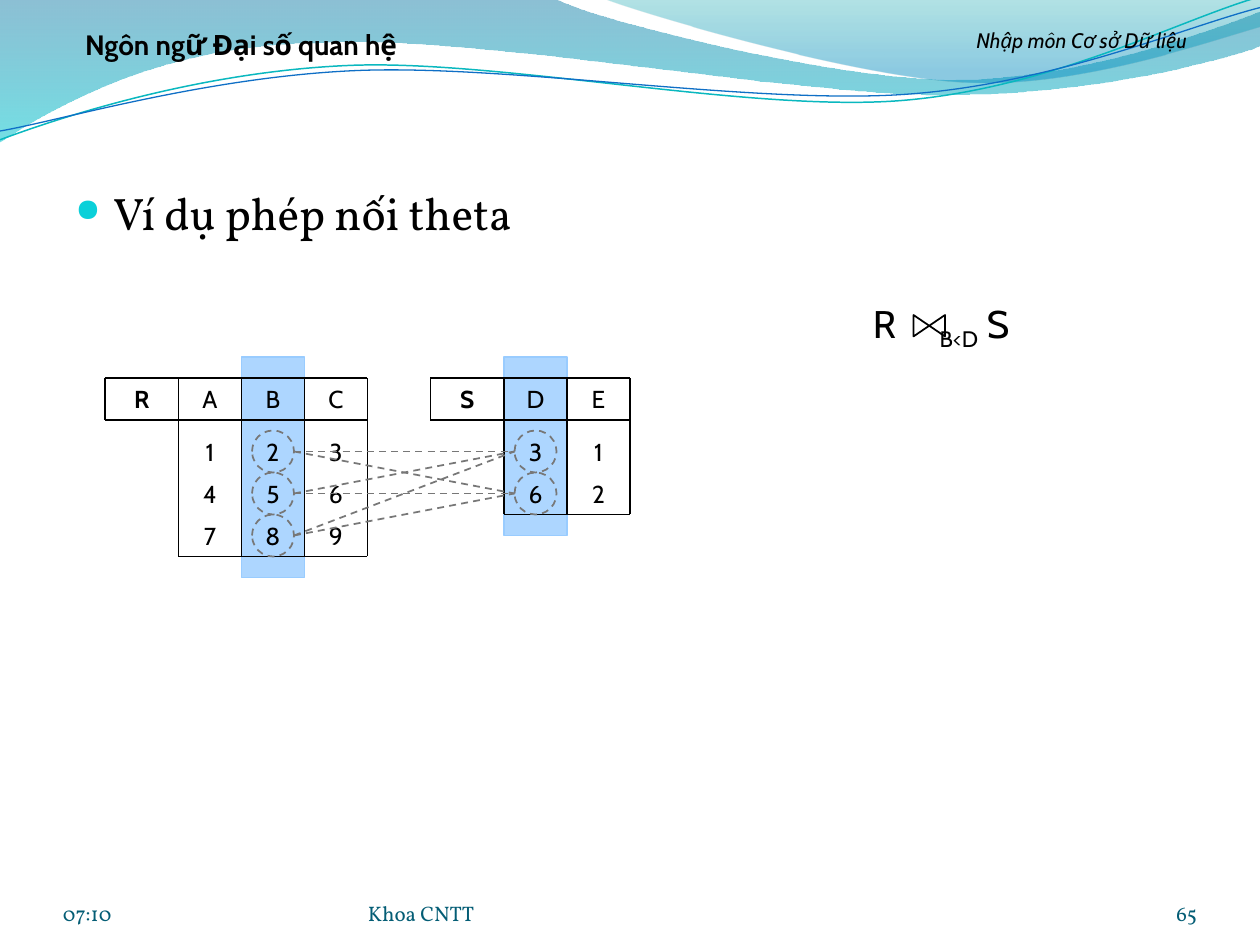
from dataclasses import dataclass
from itertools import product
from math import cos, radians, sin

from lxml.etree import SubElement
from pptx import Presentation
from pptx.dml.color import RGBColor
from pptx.enum.dml import MSO_LINE_DASH_STYLE as Dash
from pptx.enum.shapes import MSO_CONNECTOR_TYPE as Connector, MSO_SHAPE as Preset
from pptx.enum.text import MSO_ANCHOR as Anchor, PP_ALIGN as Align
from pptx.oxml import parse_xml
from pptx.oxml.ns import nsdecls, qn
from pptx.util import Inches, Pt

BLACK = RGBColor(0x00, 0x00, 0x00)
GRAY = RGBColor(0x77, 0x77, 0x77)
SKY = RGBColor(0x99, 0xCC, 0xFF)
FOOTER = RGBColor(0x04, 0x5D, 0x75)
BULLET = RGBColor(0x0B, 0xD0, 0xD9)
TEAL = RGBColor(0x0A, 0xB8, 0xBF)
BLUE = RGBColor(0x0F, 0x6F, 0xC6)
SANS, SERIF = "Cabin", "Vollkorn"

UNIT = 1 / 12  # grid step in inches
CELL, LABEL, ROW = 6, 7, 4  # column width, name column width, row height
HEADER_TOP, BODY_TOP = 36, 41
TILT = 357.3  # rotation of the thin waves in degrees


@dataclass
class Relation:
    """A relation drawn as a ruled grid; left is in grid units."""
    name: str
    left: int
    columns: str
    rows: list[str]
    joined: int

    @property
    def first(self) -> int:
        return self.left + LABEL

    @property
    def right(self) -> int:
        return self.first + CELL * len(self.columns)

    @property
    def bottom(self) -> int:
        return BODY_TOP + ROW * len(self.rows)

    @property
    def joined_left(self) -> int:
        return self.first + CELL * self.joined


@dataclass
class Wave:
    """A curved outline in a box: a start, its pieces and its paint."""
    box: tuple
    start: tuple
    pieces: list[tuple]
    line: RGBColor | None = None
    width: float = 0
    rotation: float = 0
    stops: tuple = ()


RELATIONS = [Relation("R", 10, "ABC", ["123", "456", "789"], 1),
             Relation("S", 41, "DE", ["31", "62"], 0)]

# A piece of two numbers is a straight side, one of six is a cubic curve.
WAVES = [
    Wave((-0.01, -0.01, 10.02, 1.14), (0, -0.01),
         [(4.4, -0.01), (4.76, 0.17, 6.64, 0.63, 7.58, 0.63),
          (8.53, 0.63, 9.58, 0.26, 10, 0.09), (10.01, 0.36),
          (9.83, 0.44, 8.7, 0.76, 7.46, 0.75), (6.22, 0.75, 3.82, 0.28, 2.57, 0.34),
          (1.29, 0.35, 0.46, 0.83, -0.01, 1.13), (0, -0.01)],
         stops=((0, "0074A1", 45), (100, "00C6CF", 55))),
    Wave((4.79, -0.01, 5.21, 0.7), (4.79, -0.01),
         [(5.09, 0.11, 6.82, 0.62, 7.69, 0.65), (8.56, 0.69, 9.61, 0.32, 10, 0.21),
          (10, 0), (4.79, -0.01)],
         stops=((0, "00A1A9", 30), (80, "008BBF", 45))),
    Wave((-0.02, 0.22, 10.02, 0.71), (0, 1.11),
         [(0.48, 0.93, 1.58, 0.57, 2.77, 0.52), (3.95, 0.47, 5.93, 0.89, 7.13, 0.8),
          (8.33, 0.71, 9.38, 0.15, 9.98, -0.02)], TEAL, 0.85, TILT),
    Wave((-0.02, 0.3, 10.03, 0.58), (0, 1.04),
         [(0.47, 0.96, 1.64, 0.61, 2.83, 0.56), (4.03, 0.51, 5.97, 0.83, 7.17, 0.75),
          (8.36, 0.67, 9.41, 0.21, 10, 0.06)], BLUE, 0.75, TILT),
]


def local_points(wave: Wave, piece: tuple) -> list[tuple]:
    """Turn slide positions into positions inside the unrotated box."""
    left, top, width, height = wave.box
    turn = radians(-wave.rotation)
    points = []
    for x, y in zip(piece[::2], piece[1::2]):
        dx, dy = x - left - width / 2, y - top - height / 2
        points.append((Inches(width / 2 + dx * cos(turn) - dy * sin(turn)),
                       Inches(height / 2 + dx * sin(turn) + dy * cos(turn))))
    return points


def add_wave(wave: Wave) -> None:
    """Draw a wave, closed with a gradient or open with a line."""
    corners = [local_points(wave, piece)[-1] for piece in wave.pieces]
    builder = slide.shapes.build_freeform(*local_points(wave, wave.start)[0])
    builder.add_line_segments(corners, close=bool(wave.stops))
    shape = builder.convert_to_shape()
    shape.left, shape.top, shape.width, shape.height = map(Inches, wave.box)
    shape.rotation = wave.rotation
    shape.shadow.inherit = False
    shape.fill.background()
    properties = shape._element.spPr
    outline = next(properties.iter(qn("a:path")))
    outline.set("w", str(shape.width))
    outline.set("h", str(shape.height))
    for segment, piece in zip(list(outline), [wave.start] + wave.pieces):
        if len(piece) == 6:
            segment.tag = qn("a:cubicBezTo")
        for point in list(segment):
            segment.remove(point)
        for x, y in local_points(wave, piece):
            SubElement(segment, qn("a:pt"), x=str(x), y=str(y))
    if not wave.stops:
        shape.line.color.rgb, shape.line.width = wave.line, Pt(wave.width)
        return
    shape.line.fill.background()
    stops = "".join(f'<a:gs pos="{pos * 1000}"><a:srgbClr val="{color}">'
                    f'<a:alpha val="{alpha * 1000}"/></a:srgbClr></a:gs>'
                    for pos, color, alpha in wave.stops)
    properties.replace(properties.find(qn("a:noFill")), parse_xml(
        f'<a:gradFill {nsdecls("a")} rotWithShape="1"><a:gsLst>{stops}</a:gsLst>'
        '<a:lin ang="5400000" scaled="0"/></a:gradFill>'))


def add_text(text: str, box: tuple, *, size: float = 14, font: str = SANS,
             color: RGBColor = BLACK, bold: bool = False, italic: bool = False,
             align: Align = Align.LEFT, anchor: Anchor = Anchor.TOP,
             inset: bool = True, subscript: str = "", shape=None):
    """Write text in a box given in inches; return its paragraph."""
    left, top, width, height = map(Inches, box)
    shape = shape or slide.shapes.add_textbox(left, top, width, height)
    shape.left, shape.top, shape.width, shape.height = left, top, width, height
    frame = shape.text_frame
    frame.word_wrap, frame.vertical_anchor = True, anchor
    if not inset:
        frame.margin_left = frame.margin_right = frame.margin_top = frame.margin_bottom = 0
    paragraph = frame.paragraphs[0]
    paragraph.alignment = align
    before, _, after = text.partition(subscript) if subscript else (text, "", "")
    for part in filter(None, (before, subscript, after)):
        run = paragraph.add_run()
        run.text = part
        run.font.size, run.font.name, run.font.color.rgb = Pt(size), font, color
        run.font.bold, run.font.italic = bold, italic
        if part == subscript:
            run._r.get_or_add_rPr().set("baseline", "-25000")
    return paragraph


def add_line(x1: int, y1: int, x2: int, y2: int, color: RGBColor = BLACK,
             dash: Dash | None = None) -> None:
    """Draw a line between two grid points."""
    line = slide.shapes.add_connector(Connector.STRAIGHT, *grid_box(x1, y1, x2, y2))
    line.line.color.rgb, line.line.width, line.line.dash_style = color, Pt(1), dash
    SubElement(line._element.spPr, qn("a:effectLst"))


def add_preset(preset: Preset, box: tuple, color: RGBColor, fill: RGBColor | None = None):
    """Draw an outlined preset shape."""
    shape = slide.shapes.add_shape(preset, *box)
    shape.shadow.inherit = False
    shape.line.color.rgb, shape.line.width = color, Pt(1)
    if fill is None:
        shape.fill.background()
    else:
        shape.fill.solid()
        shape.fill.fore_color.rgb = fill
    return shape


def grid_box(*units: int) -> tuple:
    """Turn grid units into lengths."""
    return tuple(Inches(UNIT * unit) for unit in units)


def add_cell(text: str, left: int, top: int, width: int = CELL, bold: bool = False) -> None:
    """Write a centred value in a grid cell."""
    add_text(text, tuple(UNIT * unit for unit in (left, top, width, ROW)),
             bold=bold, align=Align.CENTER)


def add_highlight(relation: Relation) -> None:
    """Shade the joined column, two units past the grid at each end."""
    top = HEADER_TOP - 2
    shape = add_preset(Preset.RECTANGLE, grid_box(
        relation.joined_left, top, CELL, relation.bottom + 2 - top), SKY, SKY)
    color = shape._element.spPr.find(qn("a:solidFill"))[0]
    SubElement(color, qn("a:alpha"), val="80000")


def add_relation(relation: Relation) -> None:
    """Draw the rules, header and values of a relation."""
    left, first, right, bottom = relation.left, relation.first, relation.right, relation.bottom
    header_bottom = HEADER_TOP + ROW
    for start, y in ((left, HEADER_TOP), (left, header_bottom), (first, bottom)):
        add_line(start, y, right, y)
    add_line(left, HEADER_TOP, left, header_bottom)
    for x in range(first, right + 1, CELL):
        add_line(x, HEADER_TOP, x, bottom)
    add_cell(relation.name, left, HEADER_TOP, LABEL, bold=True)
    tops = [HEADER_TOP, *range(BODY_TOP, bottom, ROW)]
    for top, values in zip(tops, [relation.columns] + relation.rows):
        for i, value in enumerate(values):
            add_cell(value, first + CELL * i, top)


def add_pairs(source: Relation, target: Relation) -> None:
    """Circle the joined values and link every pair of them."""
    for relation in (source, target):
        for top in range(BODY_TOP, relation.bottom, ROW):
            circle = add_preset(Preset.OVAL, grid_box(
                relation.joined_left + 1, top, ROW, ROW), GRAY)
            circle.line.dash_style = Dash.DASH
    middle = BODY_TOP + ROW // 2
    for y1, y2 in product(range(middle, source.bottom, ROW), range(middle, target.bottom, ROW)):
        add_line(source.joined_left + 1 + ROW, y1, target.joined_left + 1, y2, GRAY, Dash.DASH)


presentation = Presentation()
presentation.slide_width, presentation.slide_height = Inches(10), Inches(7.5)
slide = presentation.slides.add_slide(presentation.slide_layouts[5])
for wave in WAVES:
    add_wave(wave)

title = slide.shapes.title
slide.shapes._spTree.append(title._element)  # in front of the waves
add_text("Ngôn ngữ Đại số quan hệ", (0.25, 0.17, 3.33, 0.37), size=16, bold=True,
         align=Align.CENTER, shape=title)
add_text("Nhập môn Cơ sở Dữ liệu", (7.17, 0.17, 2.83, 0.38), size=12, italic=True,
         align=Align.CENTER)
example = add_text("Ví dụ phép nối theta", (0.5, 1.42, 9, 5.29), size=26, font=SERIF)
indent = example._p.get_or_add_pPr()
indent.set("marL", str(Inches(0.3)))
indent.set("indent", str(-Inches(0.3)))
SubElement(SubElement(indent, qn("a:buClr")), qn("a:srgbClr"), val=str(BULLET))
SubElement(indent, qn("a:buSzPct"), val="70000")
SubElement(indent, qn("a:buChar"), char="●")

for draw, relation in product((add_highlight, add_relation), RELATIONS):
    draw(relation)
add_pairs(*RELATIONS)

formula = add_text("R\tB<D S", (6.83, 2.33, 1.67, 0.47), size=22, subscript="B<D")
tabs = SubElement(formula._p.get_or_add_pPr(), qn("a:tabLst"))
SubElement(tabs, qn("a:tab"), pos=str(Inches(0.53)), algn="l")
bowtie = tuple(map(Inches, (7.29, 2.46, 0.17, 0.25)))
add_preset(Preset.FLOWCHART_COLLATE, bowtie, BLACK).rotation = 270

for text, left, width, align in (("07:10", 0.5, 2.33, Align.LEFT),
                                 ("Khoa CNTT", 2.92, 3.67, Align.LEFT),
                                 ("65", 8.67, 0.83, Align.RIGHT)):
    add_text(text, (left, 6.95, width, 0.4), size=12, font=SERIF, color=FOOTER,
             align=align, anchor=Anchor.BOTTOM, inset=False)
presentation.save("out.pptx")
